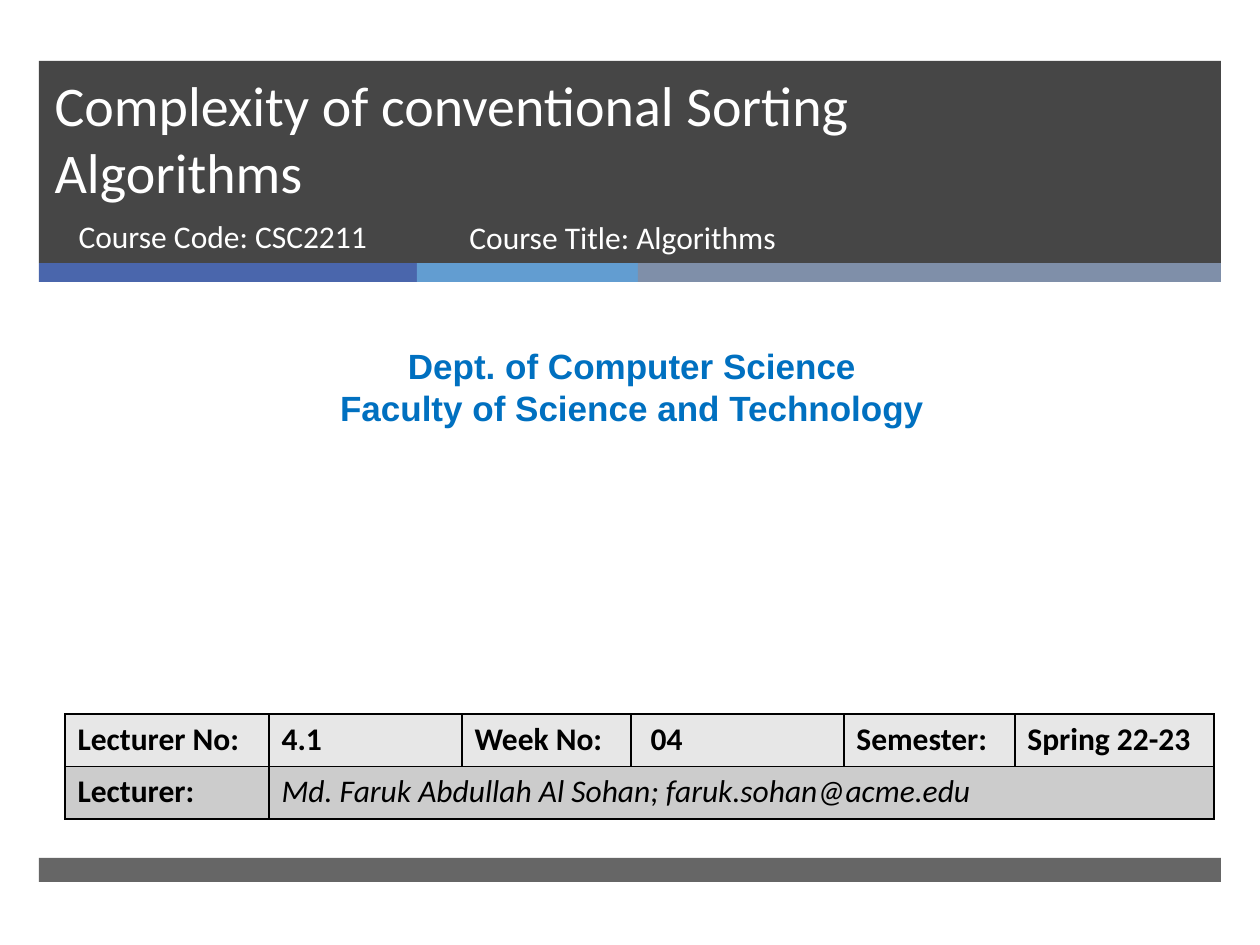
from dataclasses import dataclass

from lxml import etree
from pptx import Presentation
from pptx import util as u
from pptx.dml.color import RGBColor
from pptx.enum import shapes, text
from pptx.oxml import ns

SCALE = 914400 / 126


@dataclass(frozen=True)
class Theme:
    dark: str = "262626"
    stripes: tuple = ("4A66AC", "629DD1", "7F8FA9")
    light: str = "FFFFFF"
    accent: str = "0070C0"
    ink: str = "000000"
    rows: tuple = ("E7E7E7", "CCCCCC")
    font: str = "Calibri"
    department_font: str = "Arial"
    title_size: int = 32
    department_size: int = 20
    text_size: int = 18


THEME = Theme()


def px(length):
    return u.Emu(round(length * SCALE))


def place(shape, box):
    shape.left, shape.top, shape.width, shape.height = map(px, box)


def write(frame, *lines, size=THEME.text_size, color=THEME.light, font=THEME.font,
          bold=False, italic=False, align=text.PP_ALIGN.LEFT):
    frame.word_wrap = True
    for index, line in enumerate(lines):
        paragraph = frame.paragraphs[0] if index == 0 else frame.add_paragraph()
        paragraph.alignment = align
        paragraph.space_before = u.Pt(0)
        run = paragraph.add_run()
        run.text = line
        run.font.size = u.Pt(size)
        run.font.name = font
        run.font.bold = bold
        run.font.italic = italic
        run.font.color.rgb = RGBColor.from_string(color)


def add_bar(slide, box, color, opacity=100):
    bar = slide.shapes.add_shape(shapes.MSO_SHAPE.RECTANGLE, *map(px, box))
    bar.shadow.inherit = False
    bar.fill.solid()
    bar.fill.fore_color.rgb = RGBColor.from_string(color)
    bar.line.fill.background()
    if opacity < 100:
        fill_color = bar.fill._xPr.find(".//" + ns.qn("a:srgbClr"))
        etree.SubElement(fill_color, ns.qn("a:alpha"), val=str(opacity * 1000))


def add_header(slide, box):
    left, top, width, height = box
    band_height = 202
    add_bar(slide, (left, top, width, band_height), THEME.dark, 85)
    stripe_left = left
    for color, stripe_width in zip(THEME.stripes, (378, 221, width - 599)):
        add_bar(slide, (stripe_left, top + band_height, stripe_width, height - band_height), color)
        stripe_left += stripe_width

    title, course_code = slide.placeholders
    for holder in (title, course_code):
        slide.shapes._spTree.append(holder._element)
        holder.text_frame.auto_size = text.MSO_AUTO_SIZE.NONE
    place(title, (left + 3, top, 1074, 150))
    title.text_frame.vertical_anchor = text.MSO_ANCHOR.BOTTOM
    write(title.text_frame, "Complexity of conventional Sorting Algorithms", size=THEME.title_size)

    place(course_code, (left + 27, top + 150, 384, 67))
    course_code.text_frame.vertical_anchor = text.MSO_ANCHOR.TOP
    write(course_code.text_frame, "Course Code: CSC2211")

    course_title = slide.shapes.add_textbox(*map(px, (left + 418, top + 151, 573, 67)))
    write(course_title.text_frame, "Course Title: Algorithms")


def add_department(slide, box):
    department = slide.shapes.add_textbox(*map(px, box))
    write(department.text_frame, "Dept. of Computer Science", "Faculty of Science and Technology",
          size=THEME.department_size, color=THEME.accent, font=THEME.department_font,
          bold=True, align=text.PP_ALIGN.CENTER)


def outline(cell):
    properties = cell._tc.get_or_add_tcPr()
    for position, side in enumerate(("lnL", "lnR", "lnT", "lnB")):
        line = etree.Element(ns.qn("a:" + side), w=str(u.Pt(1)))
        fill = etree.SubElement(line, ns.qn("a:solidFill"))
        etree.SubElement(fill, ns.qn("a:srgbClr"), val=THEME.ink)
        properties.insert(position, line)


def add_lecture_table(slide, box):
    rows = (
        ("Lecturer No:", "4.1", "Week No:", " 04", "Semester:", "Spring 22-23"),
        ("Lecturer:", "Md. Faruk Abdullah Al Sohan; faruk.sohan@acme.edu"),
    )
    widths = (204, 193, 169, 213, 171, 199)
    lecture = slide.shapes.add_table(len(rows), len(widths), *map(px, box)).table
    for column, width in zip(lecture.columns, widths):
        column.width = px(width)
    lecture.cell(1, 1).merge(lecture.cell(1, 5))
    for row_index, (values, color) in enumerate(zip(rows, THEME.rows)):
        for column_index in range(len(widths)):
            cell = lecture.cell(row_index, column_index)
            cell.fill.solid()
            cell.fill.fore_color.rgb = RGBColor.from_string(color)
            outline(cell)
            if column_index < len(values):
                is_name = (row_index, column_index) == (1, 1)
                write(cell.text_frame, values[column_index], color=THEME.ink,
                      bold=not is_name, italic=is_name)


def main():
    deck = Presentation()
    deck.slide_width, deck.slide_height = px(1260), px(945)
    slide = deck.slides.add_slide(deck.slide_layouts[0])
    add_header(slide, (39, 61, 1182, 221))
    add_bar(slide, (39, 858, 1182, 24), THEME.dark, 70)
    add_department(slide, (10, 338, 1244, 97))
    add_lecture_table(slide, (65, 714, 1149, 105))
    deck.save("out.pptx")


if __name__ == "__main__":
    main()
